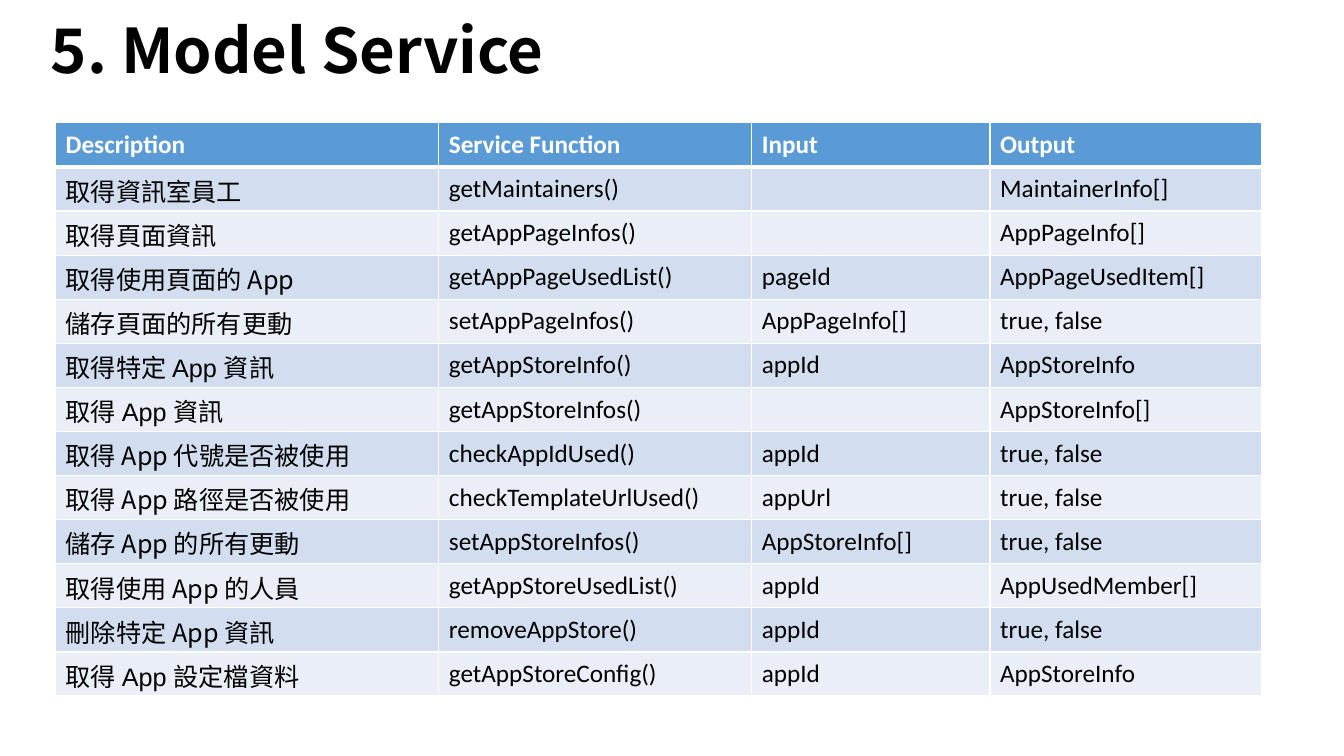
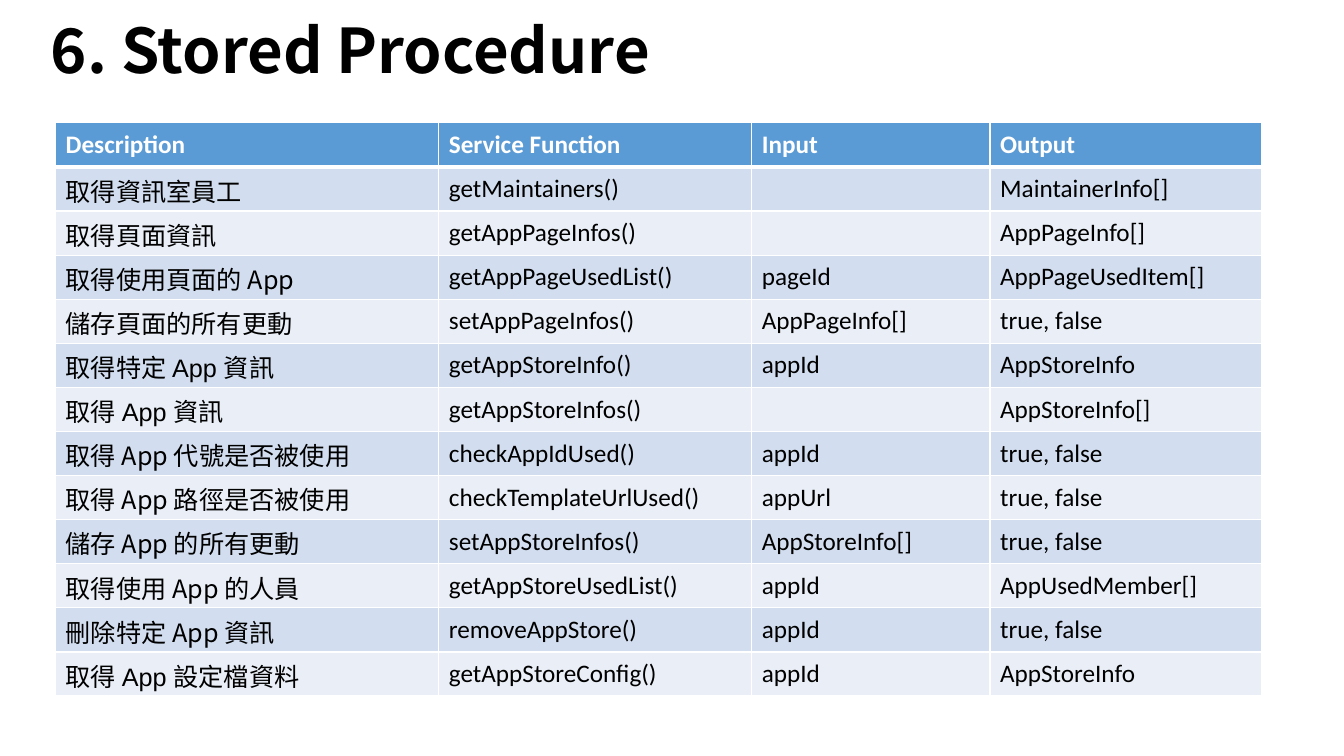
"""Build two service reference slides that share a title style and a function table."""
from lxml import etree
from pptx import Presentation
from pptx.dml.color import RGBColor
from pptx.enum.text import MSO_ANCHOR
from pptx.oxml.ns import qn
from pptx.util import Pt

PX = 9525
WHITE = RGBColor(0xFF, 0xFF, 0xFF)
BLACK = RGBColor(0x00, 0x00, 0x00)
HEADER_BLUE = RGBColor(0x5B, 0x9B, 0xD5)
BANDS = [RGBColor(0xD2, 0xDE, 0xEF), RGBColor(0xEA, 0xEF, 0xF7)]
LATIN, ARIAL, CJK = "Calibri", "Arial", "Noto Sans CJK SC"

TITLE_FORMAT = {"size": Pt(44), "bold": True, "name": CJK}
HEADER_FORMAT = {"size": Pt(18), "bold": True, "name": LATIN}
BODY_FORMAT = {"size": Pt(18), "bold": False, "name": LATIN}

TITLES = ["5. Model Service", "6. Stored Procedure"]
COLUMN_WIDTHS = [365, 298, 227, 259]
ROW_HEIGHT = 42
HEADERS = ["Description", "Service Function", "Input", "Output"]
SERVICES = [
    ([("取得資訊室員工", ARIAL)], "getMaintainers()", "", "MaintainerInfo[]"),
    ([("取得頁面資訊", CJK)], "getAppPageInfos()", "", "AppPageInfo[]"),
    ([("取得使用頁面的 ", ARIAL), ("App", CJK)], "getAppPageUsedList()", "pageId", "AppPageUsedItem[]"),
    ([("儲存頁面的所有更動", CJK)], "setAppPageInfos()", "AppPageInfo[]", "true, false"),
    ([("取得特定 App 資訊", ARIAL)], "getAppStoreInfo()", "appId", "AppStoreInfo"),
    ([("取得 App 資訊", ARIAL)], "getAppStoreInfos()", "", "AppStoreInfo[]"),
    ([("取得 App 代號是否被使用", CJK)], "checkAppIdUsed()", "appId", "true, false"),
    ([("取得 App 路徑是否被使用", CJK)], "checkTemplateUrlUsed()", "appUrl", "true, false"),
    ([("儲存 App 的所有更動", CJK)], "setAppStoreInfos()", "AppStoreInfo[]", "true, false"),
    ([("取得使用 App 的人員", CJK)], "getAppStoreUsedList()", "appId", "AppUsedMember[]"),
    ([("刪除特定 App 資訊", CJK)], "removeAppStore()", "appId", "true, false"),
    ([("取得 App 設定檔資料", ARIAL)], "getAppStoreConfig()", "appId", "AppStoreInfo"),
]


def add_text(paragraph, text, color, font_format):
    """Add one run with the given format and an East Asian font."""
    run = paragraph.add_run()
    run.text = text
    for name, value in font_format.items():
        setattr(run.font, name, value)
    run.font.color.rgb = color
    etree.SubElement(run.font._element, qn("a:ea"), typeface=CJK)


def set_borders(cell, widths):
    """Draw white borders whose widths in points are keyed by side."""
    properties = cell._tc.get_or_add_tcPr()
    for position, (side, width) in enumerate(widths.items()):
        line = etree.Element(qn(f"a:ln{side}"), w=str(Pt(width)))
        fill = etree.SubElement(line, qn("a:solidFill"))
        etree.SubElement(fill, qn("a:srgbClr"), val=str(WHITE))
        properties.insert(position, line)


presentation = Presentation()
presentation.slide_width = 1280 * PX
presentation.slide_height = 720 * PX

for title in TITLES:
    slide = presentation.slides.add_slide(presentation.slide_layouts[6])

    title_box = slide.shapes.add_textbox(39 * PX, -10 * PX, 893 * PX, 123 * PX)
    title_box.text_frame.word_wrap = True
    title_box.text_frame.vertical_anchor = MSO_ANCHOR.MIDDLE
    title_paragraph = title_box.text_frame.paragraphs[0]
    title_paragraph.line_spacing = 0.9
    add_text(title_paragraph, title, BLACK, TITLE_FORMAT)

    row_count = len(SERVICES) + 1
    table = slide.shapes.add_table(
        row_count, len(HEADERS), 53 * PX, 117 * PX,
        sum(COLUMN_WIDTHS) * PX, row_count * ROW_HEIGHT * PX,
    ).table
    for column, width in zip(table.columns, COLUMN_WIDTHS):
        column.width = width * PX

    for row_index, values in enumerate([HEADERS, *SERVICES]):
        is_header = row_index == 0
        fill_color = HEADER_BLUE if is_header else BANDS[(row_index - 1) % 2]
        text_color = WHITE if is_header else BLACK
        text_format = HEADER_FORMAT if is_header else BODY_FORMAT
        borders = {"L": 1, "R": 1, "T": 3 if row_index == 1 else 1, "B": 3 if is_header else 1}
        for column_index, value in enumerate(values):
            cell = table.cell(row_index, column_index)
            cell.vertical_anchor = MSO_ANCHOR.MIDDLE
            cell.fill.solid()
            cell.fill.fore_color.rgb = fill_color
            set_borders(cell, borders)
            runs = [(value, LATIN)] if isinstance(value, str) else value
            for text, font_name in runs:
                if text:
                    add_text(cell.text_frame.paragraphs[0], text, text_color,
                             {**text_format, "name": font_name})

presentation.save("out.pptx")
